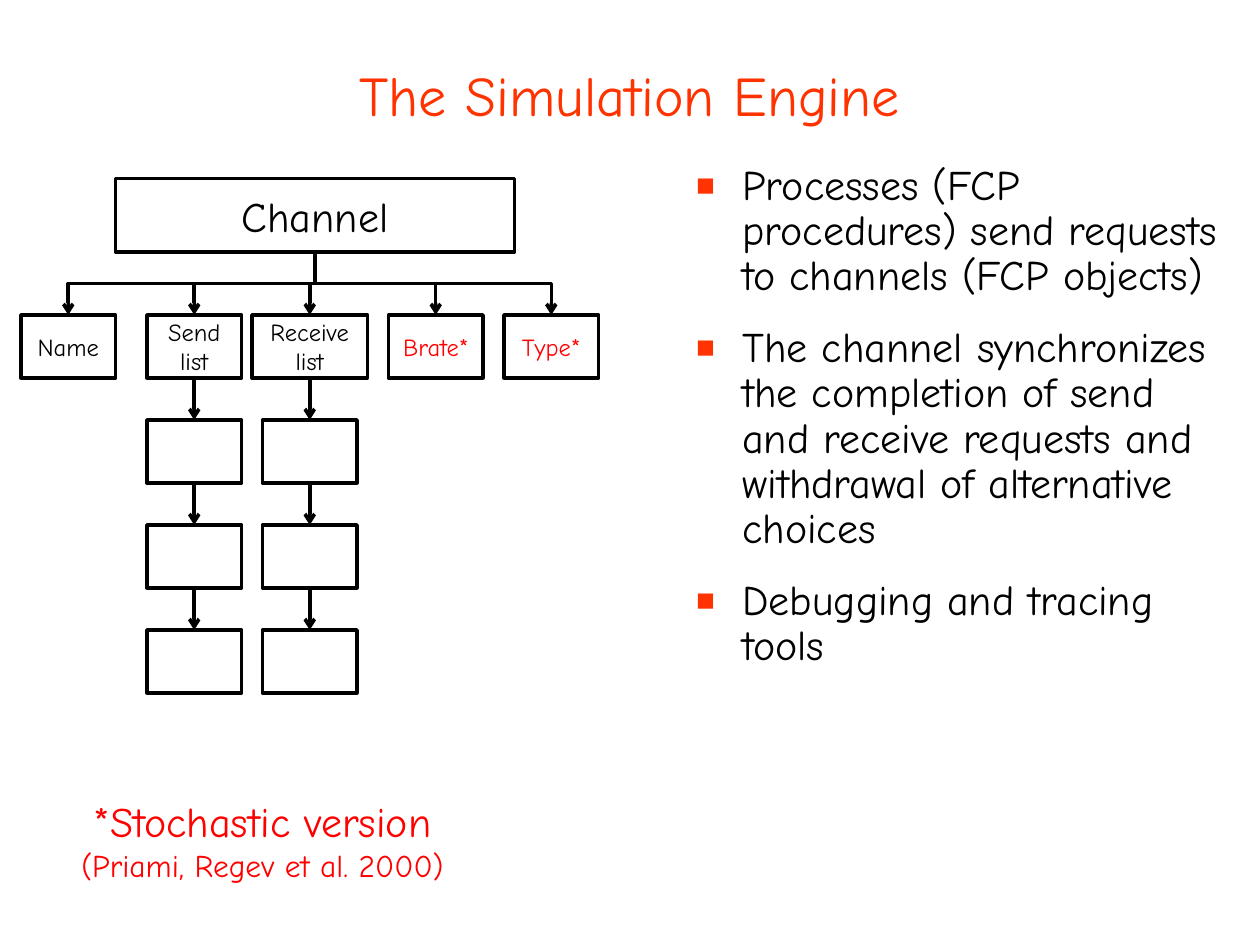
from dataclasses import dataclass

from lxml.etree import SubElement
from pptx import Presentation
from pptx.dml.color import RGBColor
from pptx.enum.shapes import MSO_CONNECTOR, MSO_SHAPE
from pptx.enum.text import MSO_ANCHOR, MSO_AUTO_SIZE, PP_ALIGN
from pptx.oxml.ns import qn
from pptx.util import Pt

STRAIGHT, ELBOW = MSO_CONNECTOR.STRAIGHT, MSO_CONNECTOR.ELBOW
RECTANGLE = MSO_SHAPE.RECTANGLE
MIDDLE, TOP = MSO_ANCHOR.MIDDLE, MSO_ANCHOR.TOP
CENTER, LEFT = PP_ALIGN.CENTER, PP_ALIGN.LEFT
NO_AUTOFIT = MSO_AUTO_SIZE.NONE
BOTTOM_SITE, TOP_SITE = 2, 0
QUARTER_TURN = 90 * 60000


@dataclass(frozen=True)
class Theme:
    font: str = "Comic Neue"
    black: str = "000000"
    red: str = "FF0000"
    accent: str = "FF3300"
    title: int = 32
    body: int = 24
    citation: int = 18
    label: int = 14
    line: float = 2


@dataclass(frozen=True)
class Box:
    left: float
    top: float
    width: float
    height: float
    text: str = ""
    color: str = "000000"
    size: int = 14
    wrap: bool = True

    @property
    def center(self) -> float:
        return self.left + self.width / 2

    @property
    def bottom(self) -> float:
        return self.top + self.height


THEME = Theme()

CHANNEL = Box(66, 102, 228, 42, "Channel", THEME.black, THEME.body, wrap=False)
FIELD_TOP, CELL_WIDTH, CELL_HEIGHT = 180, 54, 36
ROW_STEP, LIST_ROWS = 60, 3
SEND = Box(84, FIELD_TOP, CELL_WIDTH, CELL_HEIGHT, "Send list")
RECEIVE = Box(144, FIELD_TOP, 66, CELL_HEIGHT, "Receive list")
FIELDS = [
    Box(12, FIELD_TOP, CELL_WIDTH, CELL_HEIGHT, "Name"),
    SEND,
    RECEIVE,
    Box(222, FIELD_TOP, CELL_WIDTH, CELL_HEIGHT, "Brate*", THEME.red),
    Box(288, FIELD_TOP, CELL_WIDTH, CELL_HEIGHT, "Type*", THEME.red),
]
BULLETS = [
    "Processes (FCP procedures) send requests to channels (FCP objects)",
    "The channel synchronizes the completion of send and receive requests "
    "and withdrawal of alternative choices",
    "Debugging and tracing tools",
]


def format_span(span, size: float, color: str) -> None:
    span.font.name = THEME.font
    span.font.size = Pt(size)
    span.font.color.rgb = RGBColor.from_string(color)


def place(shape, left: float, top: float, width: float, height: float) -> None:
    shape.left, shape.top = Pt(left), Pt(top)
    shape.width, shape.height = Pt(width), Pt(height)


def draw_box(page, box: Box):
    shape = page.shapes.add_shape(
        RECTANGLE, Pt(box.left), Pt(box.top), Pt(box.width), Pt(box.height))
    shape.shadow.inherit = False
    shape.fill.background()
    shape.line.color.rgb = RGBColor.from_string(THEME.black)
    shape.line.width = Pt(THEME.line)
    if box.text:
        frame = shape.text_frame
        frame.text = box.text
        frame.word_wrap = box.wrap
        frame.vertical_anchor = MIDDLE
        para = frame.paragraphs[0]
        para.alignment = CENTER
        format_span(para.runs[0], box.size, box.color)
    return shape


def style_arrow(connector) -> None:
    connector.line.color.rgb = RGBColor.from_string(THEME.black)
    connector.line.width = Pt(THEME.line)
    properties = connector._element.spPr
    SubElement(properties.find(qn("a:ln")), qn("a:tailEnd"), type="arrow")
    SubElement(properties, qn("a:effectLst"))


def draw_branch(page, parent: Box, child: Box) -> None:
    """Elbow arrow that leaves downwards: a sideways elbow turned by 90 degrees."""
    across = child.center - parent.center
    down = child.top - parent.bottom
    middle_x = parent.center + across / 2
    middle_y = parent.bottom + down / 2
    connector = page.shapes.add_connector(
        ELBOW,
        Pt(middle_x - down / 2), Pt(middle_y + across / 2),
        Pt(middle_x + down / 2), Pt(middle_y - across / 2))
    connector._element.spPr.find(qn("a:xfrm")).set("rot", str(QUARTER_TURN))
    style_arrow(connector)


def draw_link(page, upper, lower) -> None:
    connector = page.shapes.add_connector(STRAIGHT, 0, 0, 0, 0)
    connector.begin_connect(upper, BOTTOM_SITE)
    connector.end_connect(lower, TOP_SITE)
    style_arrow(connector)


def draw_list(page, head: Box, head_shape) -> None:
    above = head_shape
    for row in range(1, LIST_ROWS + 1):
        cell = Box(head.center - CELL_WIDTH / 2, FIELD_TOP + row * ROW_STEP,
                   CELL_WIDTH, CELL_HEIGHT)
        shape = draw_box(page, cell)
        draw_link(page, above, shape)
        above = shape


def add_bullet(para) -> None:
    properties = para._p.get_or_add_pPr()
    properties.set("marL", str(Pt(27)))
    properties.set("indent", str(-Pt(27)))
    color = SubElement(properties, qn("a:buClr"))
    SubElement(color, qn("a:srgbClr"), val=THEME.accent)
    SubElement(properties, qn("a:buSzPct"), val="125000")
    SubElement(properties, qn("a:buFont"), typeface=THEME.font)
    SubElement(properties, qn("a:buChar"), char="▪")


def fill_title(page) -> None:
    title = page.shapes.title
    place(title, 36, 24, 648, 60)
    frame = title.text_frame
    frame.text = "The Simulation Engine"
    frame.auto_size = NO_AUTOFIT
    frame.vertical_anchor = MIDDLE
    para = frame.paragraphs[0]
    para.alignment = CENTER
    format_span(para.runs[0], THEME.title, THEME.accent)


def fill_body(page) -> None:
    body = page.placeholders[1]
    place(body, 390, 90, 318, 360)
    frame = body.text_frame
    frame.text = "\n".join(BULLETS)
    frame.auto_size = NO_AUTOFIT
    frame.vertical_anchor = TOP
    for index, para in enumerate(frame.paragraphs):
        para.alignment = LEFT
        para.line_spacing = 0.9
        para.space_before = Pt(15 if index else 0)
        add_bullet(para)
        format_span(para.runs[0], THEME.body, THEME.black)


def draw_footnote(page) -> None:
    note = page.shapes.add_textbox(Pt(18), Pt(432), Pt(264), Pt(96))
    frame = note.text_frame
    frame.word_wrap = True
    frame.vertical_anchor = MIDDLE
    para = frame.paragraphs[0]
    para.text = "*Stochastic version\v(Priami, Regev et al. 2000)"
    para.alignment = CENTER
    for span, size in zip(para.runs, (THEME.body, THEME.citation)):
        format_span(span, size, THEME.red)


def main() -> None:
    deck = Presentation()
    deck.slide_width, deck.slide_height = Pt(720), Pt(540)
    page = deck.slides.add_slide(deck.slide_layouts[1])

    fill_title(page)
    fill_body(page)

    # Channel record and its fields
    draw_box(page, CHANNEL)
    for field in FIELDS:
        shape = draw_box(page, field)
        draw_branch(page, CHANNEL, field)
        # Queued requests hang below the two list fields
        if field in (SEND, RECEIVE):
            draw_list(page, field, shape)

    draw_footnote(page)
    deck.save("out.pptx")


if __name__ == "__main__":
    main()
